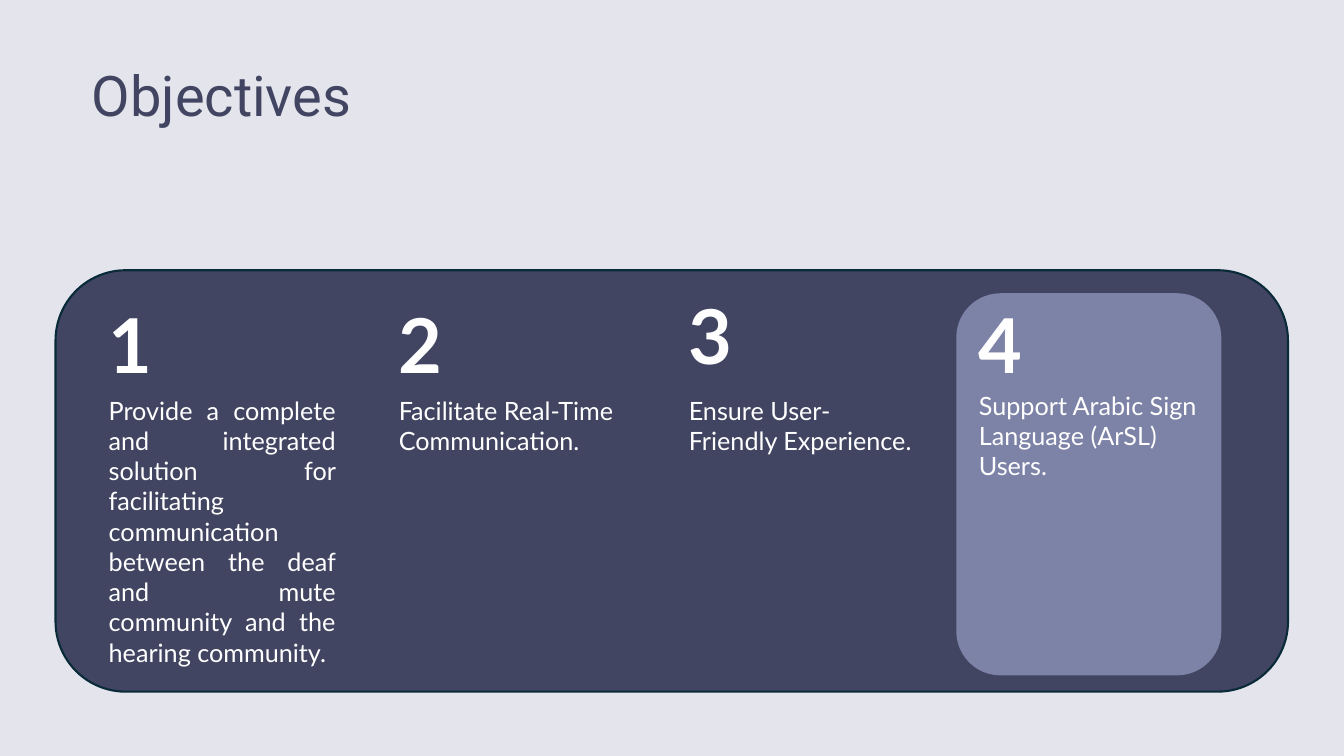
"""Build the Objectives slide: four numbered goals on a rounded panel."""
from lxml import etree
from pptx import Presentation
from pptx.dml.color import RGBColor
from pptx.enum.shapes import MSO_SHAPE
from pptx.enum.text import MSO_ANCHOR, PP_ALIGN
from pptx.oxml.ns import qn
from pptx.util import Cm, Pt

ROUNDED = MSO_SHAPE.ROUNDED_RECTANGLE
LEFT, CENTER, JUSTIFY = PP_ALIGN.LEFT, PP_ALIGN.CENTER, PP_ALIGN.JUSTIFY
TOP, MIDDLE = MSO_ANCHOR.TOP, MSO_ANCHOR.MIDDLE

TITLE = "Objectives"
OBJECTIVES = [
    {"text": "Provide a complete and integrated solution for facilitating communication "
             "between the deaf and mute community and the hearing community.",
     "align": JUSTIFY, "number_top": 7.39, "text_top": 9.83},
    {"text": "Facilitate Real-Time Communication.",
     "align": LEFT, "number_top": 7.39, "text_top": 9.83},
    {"text": "Ensure User-Friendly Experience.",
     "align": LEFT, "number_top": 7.16, "text_top": 9.83},
    {"text": "Support Arabic Sign Language (ArSL) Users.",
     "align": LEFT, "number_top": 7.39, "text_top": 9.7},
]
PANEL = (1.4, 6.81, 31.06, 10.62)
HIGHLIGHT = (24.1, 7.39, 6.68, 9.63)
TITLE_BOX = (2.06, 1.4, 16.9, 1.96)
FIRST_COLUMN, COLUMN_PITCH, COLUMN_WIDTH = 2.49, 7.31, 6.22
NUMBER_WIDTH, NUMBER_HEIGHT = 1.55, 2.57
INK, NUMBER_OUTLINE = "414561", "156082"


def color(value):
    return RGBColor.from_string(value)


def centimetres(box):
    return [Cm(length) for length in box]


def add_panel(slide, box, fill, line=None):
    shape = slide.shapes.add_shape(ROUNDED, *centimetres(box))
    shape.shadow.inherit = False
    shape.fill.solid()
    shape.fill.fore_color.rgb = color(fill)
    if line:
        shape.line.color.rgb = color(line)
        shape.line.width = Pt(1.5)
    else:
        shape.line.fill.background()


def write(shape, text, font, size, fill, align, anchor=TOP, wrap=True, bold=False):
    frame = shape.text_frame
    frame.word_wrap = wrap
    frame.vertical_anchor = anchor
    paragraph = frame.paragraphs[0]
    run = paragraph.add_run()
    run.text = text
    paragraph.alignment = align
    paragraph.font.name = font
    paragraph.font.size = Pt(size)
    paragraph.font.bold = bold
    paragraph.font.color.rgb = color(fill)
    return run


def outline(run, line_color):
    properties = run.font._element
    properties.set("spc", "50")
    line = etree.Element(qn("a:ln"), w=str(Pt(0.75)))
    fill = etree.SubElement(line, qn("a:solidFill"))
    etree.SubElement(fill, qn("a:srgbClr"), val=line_color)
    properties.insert(0, line)


def add_objective(slide, index, objective):
    left = FIRST_COLUMN + index * COLUMN_PITCH
    number_box = (left, objective["number_top"], NUMBER_WIDTH, NUMBER_HEIGHT)
    number = slide.shapes.add_textbox(*centimetres(number_box))
    run = write(number, str(index + 1), "Lato", 54, "FEFEFE", CENTER, wrap=False, bold=True)
    outline(run, NUMBER_OUTLINE)
    text_box = (left, objective["text_top"], COLUMN_WIDTH, 7.2)
    body = slide.shapes.add_textbox(*centimetres(text_box))
    write(body, objective["text"], "Lato", 18, "FFFFFF", objective["align"])


def main():
    presentation = Presentation()
    presentation.slide_width, presentation.slide_height = Cm(33.87), Cm(19.05)
    slide = presentation.slides.add_slide(presentation.slide_layouts[5])
    slide.background.fill.solid()
    slide.background.fill.fore_color.rgb = color("E4E5EC")

    title = slide.shapes.title
    title.left, title.top, title.width, title.height = centimetres(TITLE_BOX)
    write(title, TITLE, "Roboto", 40, INK, LEFT, anchor=MIDDLE)

    add_panel(slide, PANEL, INK, "092A39")
    add_panel(slide, HIGHLIGHT, "7D82A7")
    for index, objective in enumerate(OBJECTIVES):
        add_objective(slide, index, objective)
    presentation.save("out.pptx")


if __name__ == "__main__":
    main()
